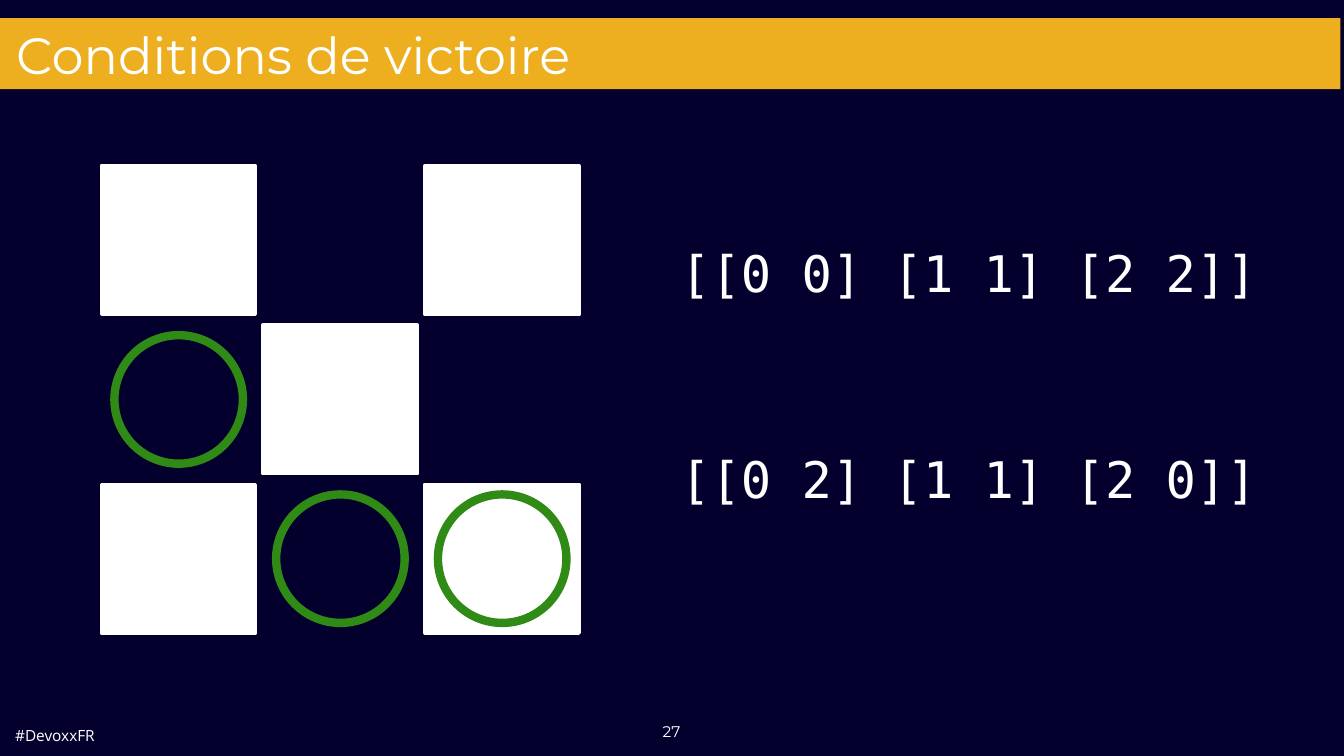
from dataclasses import dataclass

from lxml.etree import SubElement
from pptx import Presentation
from pptx.dml.color import RGBColor as Rgb
from pptx.enum.shapes import MSO_SHAPE as Kind
from pptx.enum.text import MSO_ANCHOR as Anchor, MSO_AUTO_SIZE as Fit, PP_ALIGN as Align
from pptx.oxml.ns import qn
from pptx.util import Inches, Pt


@dataclass(frozen=True)
class Theme:
    """Colours, fonts and type sizes of the slide."""
    night: Rgb = Rgb(0x03, 0x00, 0x2E)
    gold: Rgb = Rgb(0xED, 0xAF, 0x1F)
    green: Rgb = Rgb(0x30, 0x8B, 0x16)
    white: Rgb = Rgb(0xFF, 0xFF, 0xFF)
    head: str = "Montserrat"
    code: str = "DejaVu Sans Mono"
    tag: str = "Open Sans"
    title: float = 72.8
    body: float = 72
    small: float = 22


THEME = Theme()
LEFT, TOP = 2.01, 3.29
STEP_X, STEP_Y = 3.21, 3.16
SQUARES = [(0, 0), (2, 0), (1, 1), (0, 2), (2, 2)]
RINGS = [(0, 1), (1, 2), (2, 2)]
WINS = ["[[0 0] [1 1] [2 2]]", "[[0 2] [1 1] [2 0]]"]


def place(shape, left, top, width, height):
    """Move and size a shape, in inches."""
    shape.left, shape.top = Inches(left), Inches(top)
    shape.width, shape.height = Inches(width), Inches(height)


def set_frame(frame, anchor=Anchor.TOP, wrap=True):
    """Give a text frame its margins, anchor and wrapping."""
    frame.margin_left = frame.margin_right = Inches(0.08)
    frame.margin_top = frame.margin_bottom = Inches(0.08)
    frame.vertical_anchor = anchor
    frame.word_wrap = wrap
    frame.auto_size = Fit.NONE


def style(para, face, size, align=Align.LEFT):
    """Format the runs of a paragraph in white."""
    para.alignment = align
    for run in para.runs:
        run.font.name = face
        run.font.size = Pt(size)
        run.font.color.rgb = THEME.white


def add_title(slide, text):
    """Turn the title placeholder into the gold banner."""
    title = slide.shapes.title
    place(title, -0.08, 0.36, 26.68, 1.41)
    title.fill.solid()
    title.fill.fore_color.rgb = THEME.gold
    frame = title.text_frame
    frame.text = text
    set_frame(frame, Anchor.MIDDLE)
    frame.margin_left = Inches(0.4)
    style(frame.paragraphs[0], THEME.head, THEME.title)


def add_wins(slide, wins):
    """List the winning lines in the body placeholder."""
    body = slide.placeholders[1]
    place(body, 13.42, 4.73, 12.02, 6.31)
    frame = body.text_frame
    frame.text = "\n".join(wins)
    set_frame(frame)
    for index, para in enumerate(frame.paragraphs):
        props = para._p.get_or_add_pPr()
        props.set("marL", "0")
        props.set("indent", "0")
        SubElement(props, qn("a:buNone"))
        para.space_before = Pt(208 if index else 0)
        style(para, THEME.code, THEME.body)


def add_cell(slide, kind, col, row):
    """Draw a bare shape for one cell of the board."""
    shape = slide.shapes.add_shape(kind, 0, 0, 0, 0)
    shape.shadow.inherit = False
    left, top = LEFT + col * STEP_X, TOP + row * STEP_Y
    return shape, left, top


def add_square(slide, col, row):
    """Fill one cell of the board in white."""
    shape, left, top = add_cell(slide, Kind.RECTANGLE, col, row)
    place(shape, left, top, 3.06, 2.95)
    shape.fill.solid()
    shape.fill.fore_color.rgb = THEME.white
    shape.line.color.rgb = THEME.white
    shape.line.width = Pt(5)


def add_ring(slide, col, row):
    """Put a green ring in one cell of the board."""
    shape, left, top = add_cell(slide, Kind.OVAL, col, row)
    place(shape, left + 0.26, top + 0.2, 2.55, 2.55)
    shape.fill.background()
    shape.line.color.rgb = THEME.green
    shape.line.width = Pt(12)


def add_note(slide, text, spot, face, align, anchor, wrap):
    """Add a small footer text."""
    box = slide.shapes.add_textbox(*map(Inches, spot))
    frame = box.text_frame
    frame.text = text
    set_frame(frame, anchor, wrap)
    style(frame.paragraphs[0], face, THEME.small, align)


def main():
    """Build and save the slide."""
    deck = Presentation()
    deck.slide_width, deck.slide_height = Inches(26.67), Inches(15)
    slide = deck.slides.add_slide(deck.slide_layouts[1])
    slide.background.fill.solid()
    slide.background.fill.fore_color.rgb = THEME.night
    add_title(slide, "Conditions de victoire")
    add_wins(slide, WINS)
    for col, row in SQUARES:
        add_square(slide, col, row)
    for col, row in RINGS:
        add_ring(slide, col, row)
    add_note(slide, "#DevoxxFR", (0.22, 14.3, 1.82, 0.57),
             THEME.tag, Align.LEFT, Anchor.MIDDLE, True)
    add_note(slide, "27", (13.05, 14.24, 0.55, 0.53),
             THEME.head, Align.CENTER, Anchor.TOP, False)
    deck.save("out.pptx")


if __name__ == "__main__":
    main()
